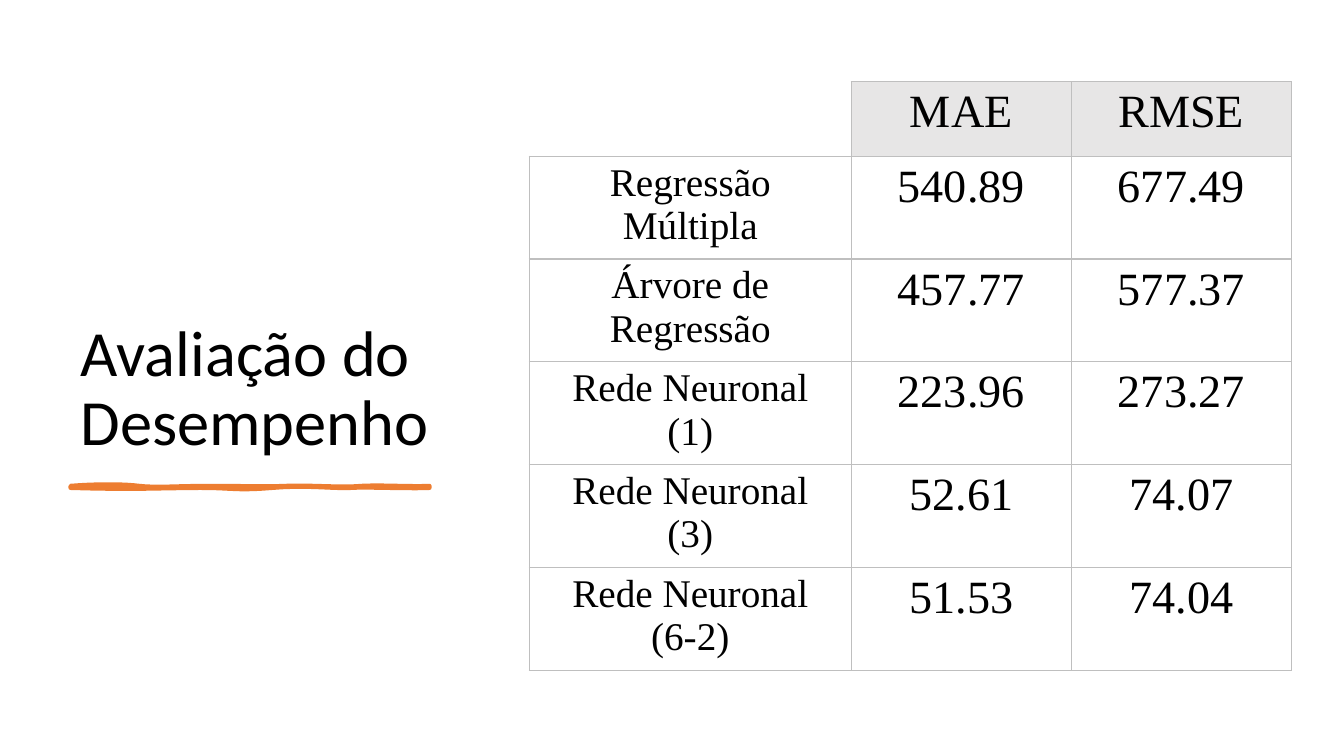
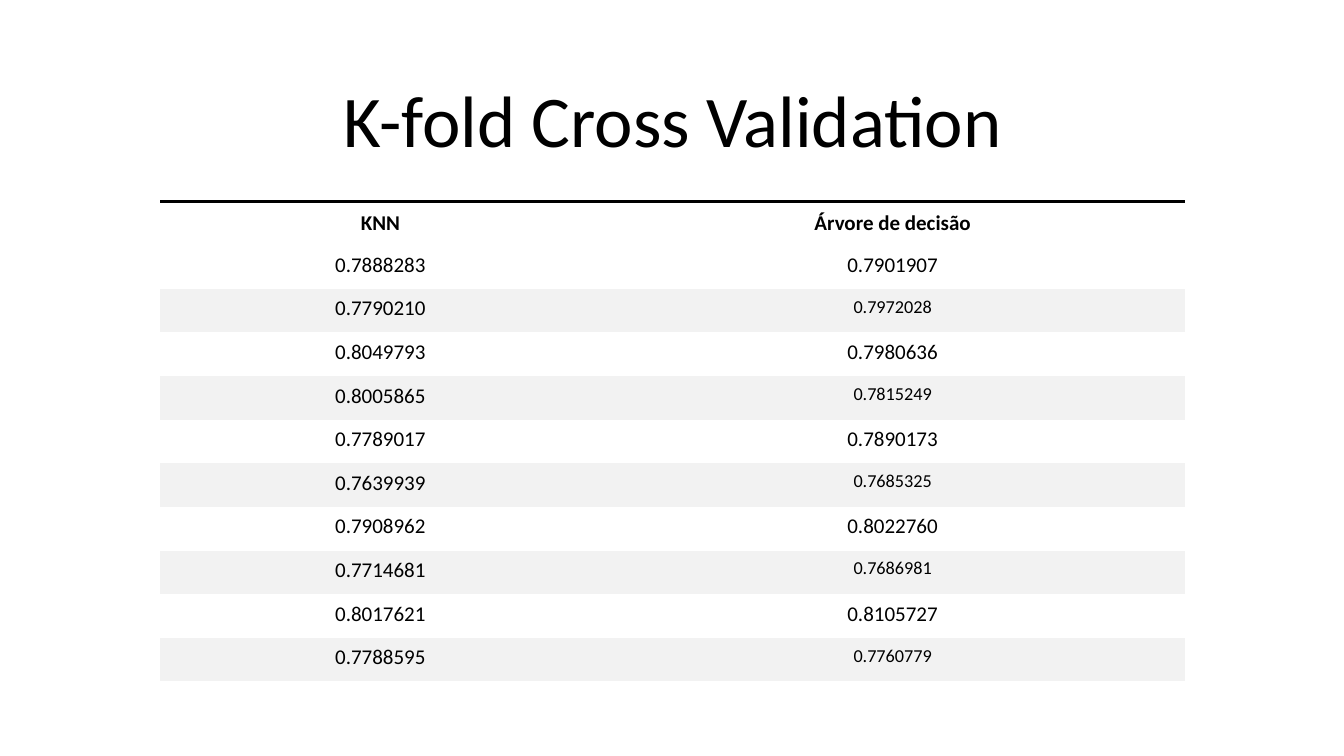
import pptx
import pptx.util
import pptx.dml.color
import pptx.enum.text
import pptx.oxml.ns
import lxml.etree

RGB = pptx.dml.color.RGBColor
ALIGN = pptx.enum.text.PP_ALIGN
ANCHOR = pptx.enum.text.MSO_ANCHOR
Inches = pptx.util.Inches
Pt = pptx.util.Pt

# Shared look
WIDE, HIGH = Inches(13.33), Inches(7.5)
BLACK = RGB(0x00, 0x00, 0x00)
WHITE = RGB(0xFF, 0xFF, 0xFF)
ORANGE = RGB(0xED, 0x7D, 0x31)
RULE = RGB(0xBF, 0xBF, 0xBF)
HEAD = RGB(0xE7, 0xE6, 0xE6)
BAND = RGB(0xF2, 0xF2, 0xF2)
SANS, SERIF = "Calibri", "Times New Roman"

# Table content
ERRORS = [
    ("", "MAE", "RMSE"),
    ("Regressão Múltipla", "540.89", "677.49"),
    ("Árvore de Regressão", "457.77", "577.37"),
    ("Rede Neuronal (1)", "223.96", "273.27"),
    ("Rede Neuronal (3)", "52.61", "74.07"),
    ("Rede Neuronal (6-2)", "51.53", "74.04"),
]
FOLDS = [
    ("KNN", "Árvore de decisão"),
    ("0.7888283", "0.7901907"),
    ("0.7790210", "0.7972028"),
    ("0.8049793", "0.7980636"),
    ("0.8005865", "0.7815249"),
    ("0.7789017", "0.7890173"),
    ("0.7639939", "0.7685325"),
    ("0.7908962", "0.8022760"),
    ("0.7714681", "0.7686981"),
    ("0.8017621", "0.8105727"),
    ("0.7788595", "0.7760779"),
]

# Brush stroke in inches: the start, then two controls and an end per curve
START = (0.7, 4.82)
CURVES = [
    ((0.97, 4.8), (1.21, 4.8), (1.38, 4.82)),
    ((1.55, 4.84), (1.77, 4.82), (2.09, 4.82)),
    ((2.41, 4.82), (2.6, 4.83), (2.84, 4.82)),
    ((3.08, 4.81), (3.39, 4.84), (3.59, 4.82)),
    ((3.79, 4.81), (4.12, 4.83), (4.26, 4.82)),
    ((4.26, 4.83), (4.26, 4.84), (4.26, 4.84)),
    ((4.08, 4.85), (3.64, 4.83), (3.48, 4.84)),
    ((3.32, 4.85), (3.04, 4.81), (2.7, 4.84)),
    ((2.35, 4.87), (2.31, 4.84), (1.99, 4.84)),
    ((1.66, 4.84), (1.32, 4.86), (0.7, 4.84)),
]
STEPS = 10


def place(left, top, width, height):
    """Turn percentages of the slide into lengths."""
    return (int(WIDE * left / 100), int(HIGH * top / 100),
            int(WIDE * width / 100), int(HIGH * height / 100))


def style(par, size, face, align, bold=False):
    par.alignment = align
    par.font.size = Pt(size)
    par.font.name = face
    par.font.bold = bold
    par.font.color.rgb = BLACK


def add_title(slide, text, box, size, align, anchor):
    title = slide.shapes.title
    title.left, title.top, title.width, title.height = box
    frame = title.text_frame
    frame.text = text
    frame.word_wrap = True
    frame.auto_size = pptx.enum.text.MSO_AUTO_SIZE.NONE
    frame.vertical_anchor = anchor
    style(frame.paragraphs[0], size, SANS, align)
    frame.paragraphs[0].line_spacing = 0.9


def add_stroke(slide):
    """Draw the wavy brush line under the title."""
    points, last = [], START
    for one, two, end in CURVES:
        for step in range(1, STEPS + 1):
            t = step / STEPS
            u = 1 - t
            points.append(tuple(
                Inches(u**3 * a + 3 * u * u * t * b + 3 * u * t * t * c + t**3 * d)
                for a, b, c, d in zip(last, one, two, end)))
        last = end
    pen = slide.shapes.build_freeform(Inches(START[0]), Inches(START[1]))
    pen.add_line_segments(points, close=True)
    stroke = pen.convert_to_shape()
    stroke.shadow.inherit = False
    stroke.fill.solid()
    stroke.fill.fore_color.rgb = ORANGE
    stroke.line.color.rgb = ORANGE
    stroke.line.width = Pt(3)


def set_edges(cell, edges):
    """Set borders: each side has (colour, points), or none."""
    props = cell._tc.get_or_add_tcPr()
    name = pptx.oxml.ns.qn
    for side in "LRTB":
        color, width = edges.get(side, (None, 0))
        line = lxml.etree.SubElement(props, name("a:ln" + side), w=str(Pt(width)))
        if color is None:
            lxml.etree.SubElement(line, name("a:noFill"))
        else:
            fill = lxml.etree.SubElement(line, name("a:solidFill"))
            lxml.etree.SubElement(fill, name("a:srgbClr"), val=str(color))


def add_grid(slide, rows, box, widths, heights, inset, paint):
    """Add a table; widths and heights are relative weights."""
    grid = slide.shapes.add_table(len(rows), len(widths), *box).table
    grid.first_row = grid.horz_banding = False
    for col, width in zip(grid.columns, widths):
        col.width = int(box[2] * width / sum(widths))
    for row, height in zip(grid.rows, heights):
        row.height = int(box[3] * height / sum(heights))
    side, top, base = map(Inches, inset)
    for r, texts in enumerate(rows):
        for c, text in enumerate(texts):
            cell = grid.cell(r, c)
            cell.margin_left = cell.margin_right = side
            cell.margin_top, cell.margin_bottom = top, base
            cell.text = text
            paint(cell, r, c)


def fill_cell(cell, color):
    cell.fill.solid()
    cell.fill.fore_color.rgb = color


def paint_error(cell, r, c):
    corner = r == c == 0
    edges = dict.fromkeys("LRTB", (RULE, 1))
    if corner:
        edges.update(L=(WHITE, 1), T=(WHITE, 1))
    set_edges(cell, edges)
    fill_cell(cell, HEAD if r == 0 and c else WHITE)
    style(cell.text_frame.paragraphs[0], 33 if c else 28, SERIF, ALIGN.CENTER)


def paint_fold(cell, r, c):
    head, band = r == 0, r > 0 and r % 2 == 0
    set_edges(cell, {"T": (BLACK, 2.25)} if head else {})
    fill_cell(cell, BAND if band else WHITE)
    if head:
        cell.vertical_anchor = ANCHOR.MIDDLE
    size = 13 if band and c else 15
    style(cell.text_frame.paragraphs[0], size, SANS, ALIGN.CENTER, head)


def main():
    deck = pptx.Presentation()
    deck.slide_width, deck.slide_height = WIDE, HIGH
    plain = deck.slide_layouts[5]

    # Model errors
    slide = deck.slides.add_slide(plain)
    add_title(slide, "Avaliação do Desempenho", place(5.25, 9.33, 29.33, 52.13),
              46, ALIGN.LEFT, ANCHOR.BOTTOM)
    add_stroke(slide)
    add_grid(slide, ERRORS, place(39.38, 10.8, 56.71, 77.87), (3.19, 2.18, 2.18),
             [0.74] + [1.02] * 5, (0.35, 0.05, 0), paint_error)

    # Fold scores
    slide = deck.slides.add_slide(plain)
    add_title(slide, "K-fold Cross Validation", place(6.9, 8.13, 86.27, 16.53),
              52, ALIGN.CENTER, ANCHOR.MIDDLE)
    add_grid(slide, FOLDS, place(11.93, 26.67, 76.22, 63.47), (4.37, 5.8),
             [1] * len(FOLDS), (0.29, 0.07, 0.07), paint_fold)

    deck.save("out.pptx")


if __name__ == "__main__":
    main()
